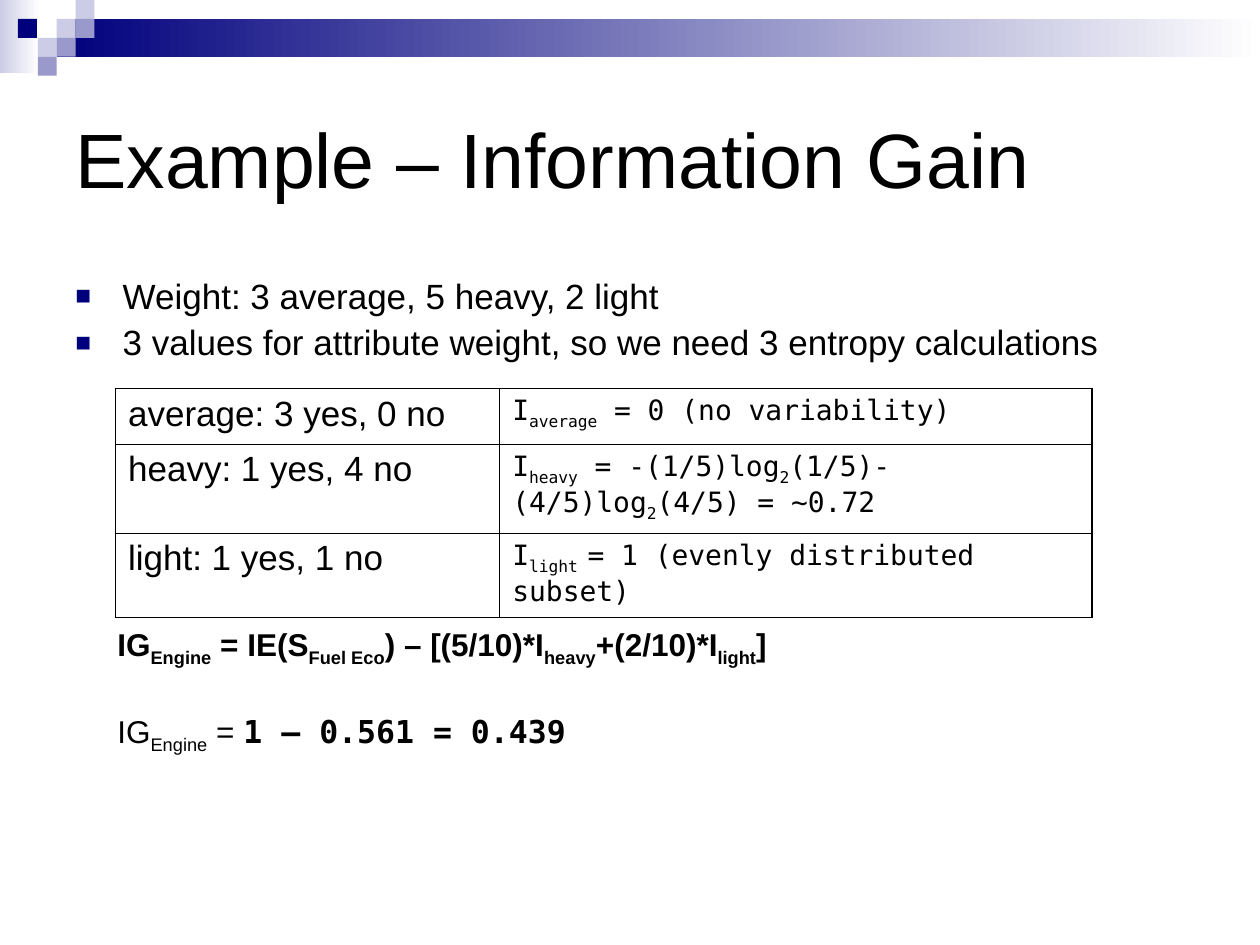
from dataclasses import dataclass
from typing import Any, NamedTuple

import lxml.etree
import pptx
import pptx.dml.color
import pptx.enum.shapes
import pptx.enum.text
import pptx.oxml.ns
import pptx.util


@dataclass(frozen=True)
class Theme:
    ink: str = "000000"
    paper: str = "FFFFFF"
    navy: str = "00007D"
    violet: str = "9999CC"
    lilac: str = "CCCCE6"
    sans: str = "Arial"
    mono: str = "DejaVu Sans Mono"
    title: int = 44
    body: int = 20
    formula: int = 18
    entropy: int = 16
    outer_line: float = 1.08
    inner_line: float = 0.45


class Box(NamedTuple):
    """A place in grid units: left, top, width, height."""
    left: float
    top: float
    width: float
    height: float


class Tile(NamedTuple):
    box: Box
    color: str
    fades: bool = False


class Span(NamedTuple):
    """Text whose parts between bars are subscripts."""
    text: str
    size: int
    font: str
    bold: bool = False


class Line(NamedTuple):
    spans: list[Span]
    spacing: dict[str, Any]


THEME = Theme()
CELL = pptx.util.Inches(10) // 120  # slide grid: 120 columns by 90 rows
TILE = pptx.util.Inches(0.15)  # mosaic grid in the header

# Header mosaic, from back to front
TILES = [
    Tile(Box(0, 0, 2.07, 3.87), THEME.lilac, True),
    Tile(Box(3, 1, 63.67, 2), THEME.navy, True),
    Tile(Box(3, 1, 1, 1), THEME.lilac),
    Tile(Box(4, 0, 1, 1), THEME.lilac),
    Tile(Box(4, 1, 1, 1), THEME.violet),
    Tile(Box(2, 2, 1, 1), THEME.lilac),
    Tile(Box(0.95, 1, 1, 1), THEME.navy),
    Tile(Box(3, 2, 1, 1), THEME.violet),
    Tile(Box(2, 3, 1, 1), THEME.violet),
]

TITLE = "Example – Information Gain"
BULLETS = [
    "Weight: 3 average, 5 heavy, 2 light",
    "3 values for attribute weight, so we need 3 entropy calculations",
]
ENTROPIES = [
    ("average: 3 yes, 0 no", "I|average| = 0 (no variability)"),
    ("heavy: 1 yes, 4 no", "I|heavy| = -(1/5)log|2|(1/5)-(4/5)log|2|(4/5) = ~0.72"),
    ("light: 1 yes, 1 no", "I|light |= 1 (evenly distributed subset)"),
]
GAIN_FORMULA = "IG|Engine| = IE(S|Fuel Eco|) – [(5/10)*I|heavy|+(2/10)*I|light|]"
GAIN_NAME, GAIN_VALUE = "IG|Engine| = ", "1 – 0.561 = 0.439"
COLUMN_WIDTHS = (36.6, 56.4)
ROW_HEIGHT = 5.28


def rgb(color: str) -> pptx.dml.color.RGBColor:
    return pptx.dml.color.RGBColor.from_string(color)


def apply(target: Any, values: dict[str, Any]) -> None:
    for name, value in values.items():
        setattr(target, name, value)


def scaled(box: Box, unit: int) -> list[int]:
    return [round(length * unit) for length in box]


def add_child(parent: Any, tag: str, **attributes: str) -> Any:
    return lxml.etree.SubElement(parent, pptx.oxml.ns.qn(tag), attributes)


def draw_tile(slide: Any, tile: Tile) -> None:
    rectangle = pptx.enum.shapes.MSO_SHAPE.RECTANGLE
    shape = slide.shapes.add_shape(rectangle, *scaled(tile.box, TILE))
    shape.shadow.inherit = False
    shape.line.fill.background()
    if tile.fades:
        shape.fill.gradient()
        shape.fill.gradient_angle = 180
        for stop, color, position in zip(
            shape.fill.gradient_stops, (THEME.paper, tile.color), (0, 1)
        ):
            stop.color.rgb = rgb(color)
            stop.position = position
    else:
        shape.fill.solid()
        shape.fill.fore_color.rgb = rgb(tile.color)


def write_lines(frame: Any, lines: list[Line]) -> list[Any]:
    for index, line in enumerate(lines):
        paragraph = frame.add_paragraph() if index else frame.paragraphs[0]
        apply(paragraph, line.spacing)
        for span in line.spans:
            for part, text in enumerate(span.text.split("|")):
                run = paragraph.add_run()
                run.text = text
                apply(run.font, {"size": pptx.util.Pt(span.size),
                                 "name": span.font, "bold": span.bold})
                run.font.color.rgb = rgb(THEME.ink)
                if part % 2:
                    run.font._element.set("baseline", "-25000")
    return list(frame.paragraphs)


def draw_text(slide: Any, box: Box, lines: list[Line], anchor: str = "TOP") -> list[Any]:
    frame = slide.shapes.add_textbox(*scaled(box, CELL)).text_frame
    apply(frame, {"word_wrap": True,
                  "vertical_anchor": pptx.enum.text.MSO_ANCHOR[anchor]})
    return write_lines(frame, lines)


def add_bullet(paragraph: Any) -> None:
    properties = paragraph._p.get_or_add_pPr()
    apply_indent = {"marL": "342900", "indent": "-342900"}
    for name, value in apply_indent.items():
        properties.set(name, value)
    color = add_child(properties, "a:buClr")
    add_child(color, "a:srgbClr", val=THEME.navy)
    add_child(properties, "a:buSzPct", val="75000")
    add_child(properties, "a:buFont", typeface=THEME.sans)
    add_child(properties, "a:buChar", char="■")


def draw_borders(cell: Any, outer_sides: dict[str, bool]) -> None:
    cell.fill.background()
    properties = cell._tc.get_or_add_tcPr()
    for index, (side, outer) in enumerate(outer_sides.items()):
        width = pptx.util.Pt(THEME.outer_line if outer else THEME.inner_line)
        line = add_child(properties, f"a:ln{side}", w=str(width))
        add_child(add_child(line, "a:solidFill"), "a:srgbClr", val=THEME.ink)
        properties.insert(index, line)  # borders come before the fill


def draw_entropy_table(slide: Any, left: float, top: float) -> None:
    last_row, last_column = len(ENTROPIES) - 1, len(COLUMN_WIDTHS) - 1
    box = Box(left, top, sum(COLUMN_WIDTHS), ROW_HEIGHT * len(ENTROPIES))
    table = slide.shapes.add_table(
        len(ENTROPIES), len(COLUMN_WIDTHS), *scaled(box, CELL)).table
    apply(table, {"first_row": False, "horz_banding": False})
    for column, width in zip(table.columns, COLUMN_WIDTHS):
        column.width = round(width * CELL)
    styles = [(THEME.body, THEME.sans, 5), (THEME.entropy, THEME.mono, 4)]
    for i, texts in enumerate(ENTROPIES):
        for j, (text, (size, font, before)) in enumerate(zip(texts, styles)):
            cell = table.cell(i, j)
            spacing = {"space_before": pptx.util.Pt(before)}
            write_lines(cell.text_frame, [Line([Span(text, size, font)], spacing)])
            draw_borders(cell, {"L": j == 0, "R": j == last_column,
                                "T": i == 0, "B": i == last_row})


def main() -> None:
    presentation = pptx.Presentation()
    apply(presentation, {"slide_width": 120 * CELL, "slide_height": 90 * CELL})
    slide = presentation.slides.add_slide(presentation.slide_layouts[6])

    for tile in TILES:
        draw_tile(slide, tile)

    # Title and bullets
    draw_text(slide, Box(6, 6, 108, 18),
              [Line([Span(TITLE, THEME.title, THEME.sans)], {})], "MIDDLE")
    tight = {"line_spacing": 0.9, "space_before": pptx.util.Pt(5)}
    for paragraph in draw_text(slide, Box(6, 26, 108, 14), [
            Line([Span(text, THEME.body, THEME.sans)], tight) for text in BULLETS]):
        add_bullet(paragraph)

    draw_entropy_table(slide, 11, 37)

    # Information gain, with a wide gap above the result
    formula = Span(GAIN_FORMULA, THEME.formula, THEME.sans, True)
    result = [Span(GAIN_NAME, THEME.formula, THEME.sans),
              Span(GAIN_VALUE, THEME.formula, THEME.mono, True)]
    draw_text(slide, Box(10, 59, 101, 13.3), [
        Line([formula], tight | {"space_before": pptx.util.Pt(4.5)}),
        Line(result, tight | {"space_before": pptx.util.Pt(27.6)})])

    presentation.save("out.pptx")


if __name__ == "__main__":
    main()
